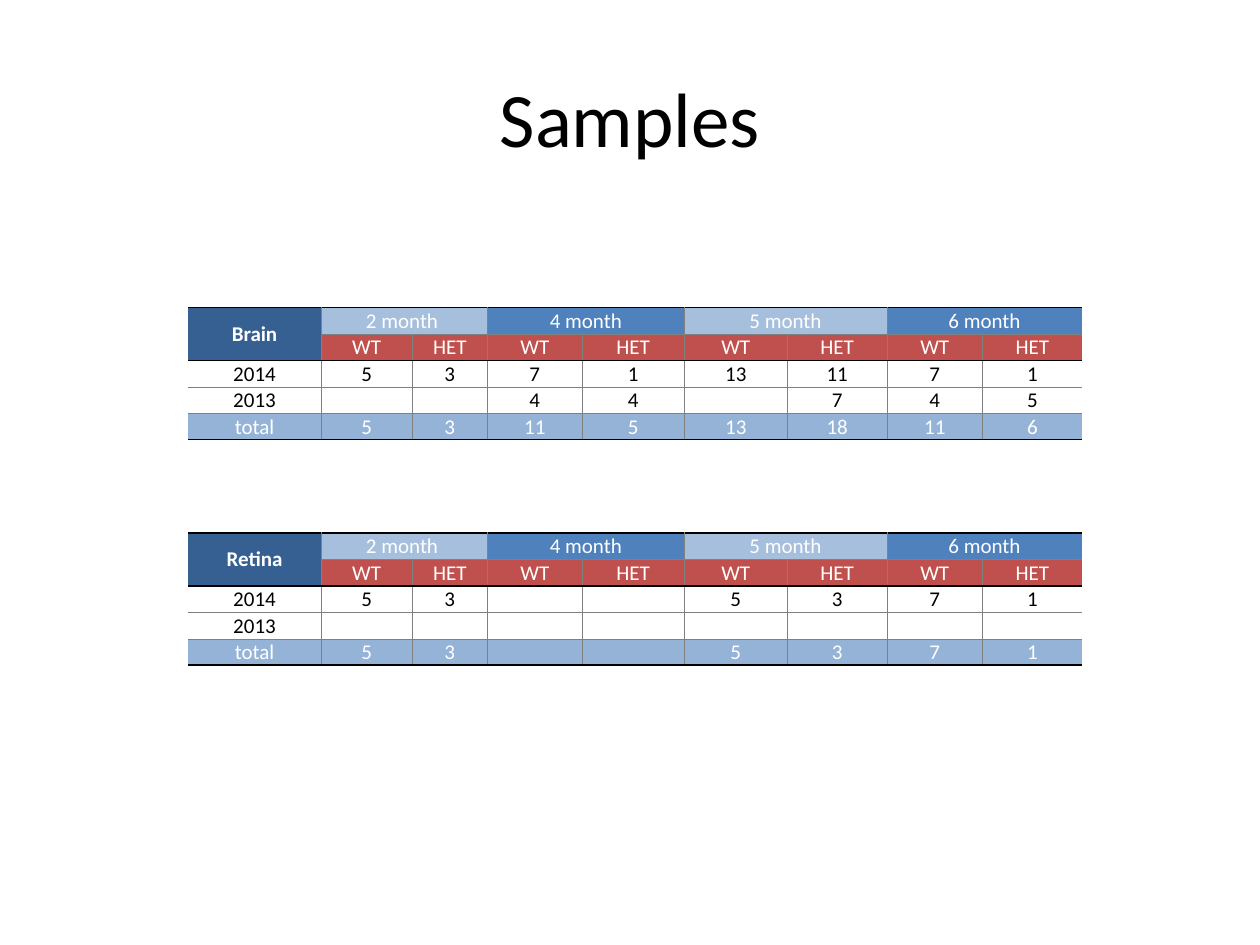
from lxml import etree
from pptx import Presentation
from pptx import util as u
from pptx.dml.color import RGBColor
from pptx.enum import text
from pptx.oxml.ns import qn

COLORS = {
    "black": "000000", "white": "FFFFFF", "grid": "808080",
    "tissue": "376092", "month": "4F81BD", "genotype": "C0504D",
    "total": "95B3D7",
}
FONT = "Calibri"
MONTHS = ["2 month ", "4 month", "5 month", "6 month"]
COLUMNS = [1.06, 0.72, 0.6, 0.75, 0.81, 0.82, 0.79, 0.76, 0.79]
ROW_HEIGHT = 0.21
TABLE_LEFT = 1.49
HEAVY_LINES = (0, 2, 5)
TISSUES = [
    ("Brain", 2.44, [5, 3, 7, 1, 13, 11, 7, 1],
     [None, None, 4, 4, None, 7, 4, 5]),
    ("Retina", 4.23, [5, 3, None, None, 5, 3, 7, 1], [None] * 8),
]


def rgb(name):
    return RGBColor.from_string(COLORS[name])


def write(tf, content, size, color, anchor, bold=False):
    tf.vertical_anchor = anchor
    p = tf.paragraphs[0]
    p.alignment = text.PP_ALIGN.CENTER
    if not content:
        # An empty cell needs a small end mark, or its row grows.
        etree.SubElement(p._p, qn("a:endParaRPr"), sz=str(size * 100))
        return
    r = p.add_run()
    r.text = content
    formats = {"name": FONT, "size": u.Pt(size), "bold": bold}
    for key, value in formats.items():
        setattr(r.font, key, value)
    r.font.color.rgb = rgb(color)


def add_title(s, prs, content):
    width, height = prs.slide_width, prs.slide_height
    sp = s.shapes.add_textbox(int(width * 0.05), int(height * 0.04),
                              int(width * 0.9), int(height / 6))
    sp.text_frame.word_wrap = True
    write(sp.text_frame, content, 44, "black", text.MSO_ANCHOR.MIDDLE)


def draw_border(cell, side, color=None, width=0.25):
    ln = etree.SubElement(cell._tc.get_or_add_tcPr(), qn(f"a:ln{side}"),
                          w=str(u.Pt(width)))
    if color:
        fill = etree.SubElement(ln, qn("a:solidFill"))
        etree.SubElement(fill, qn("a:srgbClr"), val=COLORS[color])
    else:
        etree.SubElement(ln, qn("a:noFill"))


def draw_borders(cell, row, col):
    """Draw grey inner lines, heavy black rules and open outer sides."""
    right = col + (cell.span_width if cell.is_merge_origin else 1)
    bottom = row + (cell.span_height if cell.is_merge_origin else 1)
    for side, line in (("L", col), ("R", right)):
        draw_border(cell, side, "grid" if 0 < line < len(COLUMNS) else None)
    for side, line in (("T", row), ("B", bottom)):
        heavy = line in HEAVY_LINES
        draw_border(cell, side, "black" if heavy else "grid",
                    1 if heavy else 0.25)


def fill_cell(cell, color, alpha=None):
    if color is None:
        cell.fill.background()
        return
    cell.fill.solid()
    cell.fill.fore_color.rgb = rgb(color)
    if alpha:
        tone = cell._tc.tcPr.find(qn("a:solidFill")).find(qn("a:srgbClr"))
        etree.SubElement(tone, qn("a:alpha"), val=str(alpha * 1000))


def cell_fill(row, col):
    """Return the fill colour and its opacity in percent."""
    if row < 2 and col == 0:
        return "tissue", None
    if row == 0:
        return "month", 50 if (col - 1) // 2 % 2 == 0 else None
    return {1: "genotype", 4: "total"}.get(row), None


def table_rows(tissue, counts_2014, counts_2013):
    totals = [(a or 0) + (b or 0) for a, b in zip(counts_2014, counts_2013)]
    header = [label for month in MONTHS for label in (month, "")]
    rows = [[tissue] + header, [""] + ["WT", "HET"] * len(MONTHS)]
    for label, counts in (("2014", counts_2014), ("2013", counts_2013),
                          ("total", totals)):
        rows.append([label] + [str(n) if n else "" for n in counts])
    return rows


def add_sample_table(s, top, rows):
    sp = s.shapes.add_table(len(rows), len(COLUMNS), u.Inches(TABLE_LEFT),
                            u.Inches(top), u.Inches(sum(COLUMNS)),
                            u.Inches(ROW_HEIGHT * len(rows)))
    table = sp.table
    table.first_row = table.horz_banding = False
    for column, width in zip(table.columns, COLUMNS):
        column.width = u.Inches(width)
    for row in table.rows:
        row.height = u.Inches(ROW_HEIGHT)
    table.cell(0, 0).merge(table.cell(1, 0))
    for col in range(1, len(COLUMNS), 2):
        table.cell(0, col).merge(table.cell(0, col + 1))

    for i, values in enumerate(rows):
        for j, value in enumerate(values):
            cell = table.cell(i, j)
            for side in ("left", "right", "top", "bottom"):
                setattr(cell, f"margin_{side}", 0)
            corner = i < 2 and j == 0
            anchor = text.MSO_ANCHOR.MIDDLE if corner else text.MSO_ANCHOR.BOTTOM
            cell.vertical_anchor = anchor
            if not cell.is_spanned:
                draw_borders(cell, i, j)
            fill_cell(cell, *cell_fill(i, j))
            write(cell.text_frame, value, 12,
                  "black" if i in (2, 3) else "white", anchor, corner)


def main():
    prs = Presentation()
    prs.slide_width, prs.slide_height = u.Inches(10), u.Inches(7.5)
    s = prs.slides.add_slide(prs.slide_layouts[6])
    add_title(s, prs, "Samples")
    for tissue, top, counts_2014, counts_2013 in TISSUES:
        add_sample_table(s, top, table_rows(tissue, counts_2014, counts_2013))
    prs.save("out.pptx")


if __name__ == "__main__":
    main()
